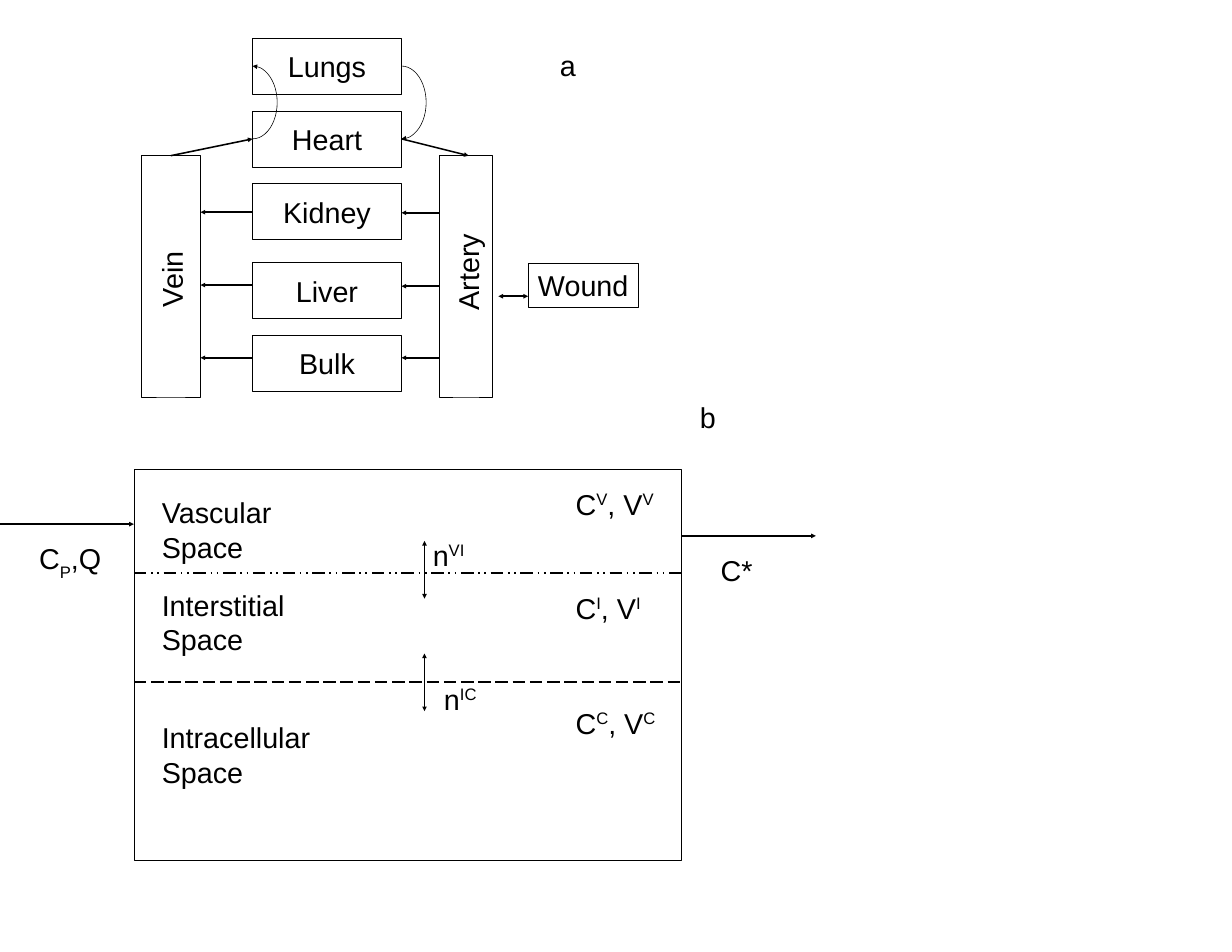
"""Draws a circulation model (a) and its three-compartment tissue model (b)."""
from lxml import etree
from pptx import Presentation
from pptx.dml.color import RGBColor
from pptx.enum.dml import MSO_LINE
from pptx.enum.shapes import MSO_CONNECTOR, MSO_SHAPE
from pptx.enum.text import MSO_ANCHOR, MSO_AUTO_SIZE, PP_ALIGN
from pptx.oxml.ns import qn
from pptx.util import Inches, Pt


def color(value):
    return RGBColor.from_string(value)


def style(shape, ends=()):
    """Gives a shape or connector a hairline with optional arrowheads."""
    shape.line.color.rgb = color("000000")
    shape.line.width = Pt(0)
    properties = shape._element.spPr
    if properties.find(qn("a:effectLst")) is None:
        etree.SubElement(properties, qn("a:effectLst"))
    for end in ends:
        etree.SubElement(shape.line._get_or_add_ln(), qn(f"a:{end}End"), type="triangle")


presentation = Presentation()
presentation.slide_width = Inches(22)
presentation.slide_height = Inches(17)
slide = presentation.slides.add_slide(presentation.slide_layouts[6])

organ_left, organ_right = 4.51, 7.17
vein_right, artery_left = 3.58, 7.84
lungs_middle, heart_middle, vessel_top = 1.18, 2.48, 2.78
tissue_left, tissue_right = 2.39, 12.17

organs = [("Lungs", 0.68), ("Heart", 1.98), ("Kidney", 3.28), ("Liver", 4.69), ("Bulk", 5.99)]
boxes = [(name, organ_left, top, 2.66, 1) for name, top in organs] + [
    ("", artery_left, vessel_top, 0.96, 4.31),
    ("", 2.52, vessel_top, 1.06, 4.31),
    ("Wound", 9.43, 4.7, 1.97, 0.79),
    ("", tissue_left, 8.38, 9.78, 6.99),
]
for name, *bounds in boxes:
    box = slide.shapes.add_shape(MSO_SHAPE.RECTANGLE, *map(Inches, bounds))
    box.fill.solid()
    box.fill.fore_color.rgb = color("FFFFFF")
    style(box)
    if name:
        box.text_frame.vertical_anchor = MSO_ANCHOR.MIDDLE
        paragraph = box.text_frame.paragraphs[0]
        paragraph.alignment = PP_ALIGN.CENTER
        run = paragraph.add_run()
        run.text = name
        run.font.size = Pt(36.9)
        run.font.name = "Arial"
        run.font.color.rgb = color("000000")

bulge = 0.44
for edge, end in [(organ_right, "tail"), (organ_left, "head")]:
    arc = slide.shapes.add_shape(
        MSO_SHAPE.ARC, Inches(edge - bulge), Inches(lungs_middle),
        Inches(2 * bulge), Inches(heart_middle - lungs_middle))
    arc.adjustments[0] = 162
    arc.adjustments[1] = 54
    arc.fill.background()
    style(arc, [end])

forward, both = ["tail"], ["head", "tail"]
arrows = [
    (3.05, vessel_top, organ_left, heart_middle, forward),
    (organ_right, heart_middle, 8.37, vessel_top, forward),
    (8.9, 5.29, 9.43, 5.29, both),
    (-0.2, 9.36, tissue_left, 9.36, forward),
    (tissue_right, 9.57, 14.57, 9.57, forward),
    (7.58, 9.66, 7.58, 10.69, both),
    (7.58, 11.67, 7.58, 12.7, both),
]
for artery_y, vein_y in [(3.8, 3.79), (5.11, 5.09), (6.39, 6.39)]:
    arrows.append((artery_left, artery_y, organ_right, artery_y, forward))
    arrows.append((organ_left, vein_y, vein_right, vein_y, forward))
for *points, ends in arrows:
    arrow = slide.shapes.add_connector(MSO_CONNECTOR.STRAIGHT, *map(Inches, points))
    style(arrow, ends)

for y, dash in [(10.23, MSO_LINE.DASH_DOT_DOT), (12.18, MSO_LINE.LONG_DASH)]:
    membrane = slide.shapes.add_connector(
        MSO_CONNECTOR.STRAIGHT, Inches(tissue_left), Inches(y), Inches(tissue_right), Inches(y))
    style(membrane)
    membrane.line.dash_style = dash

labels = [
    (2.79, 8.79, 3.19, 2.33, 0, [("Vascular Space", 0)]),
    (2.79, 10.44, 3.19, 2.89, 0, [("Interstitial Space", 0)]),
    (2.79, 12.81, 3.19, 2.89, 0, [("Intracellular Space", 0)]),
    (12.77, 9.82, 1, 1.21, 0, [("C*", 0)]),
    (7.63, 9.55, 1, 1.21, 0, [("n", 0), ("VI", 33000)]),
    (7.83, 12.12, 1, 1.77, 0, [("n", 0), ("IC", 33000)]),
    (0.6, 9.6, 1.8, 1.33, 0, [("C", 0), ("P", -33000), (",Q", 0)]),
    (2.41, 4.6, 1.28, 0.69, 270, [("Vein", 0)]),
    (7.12, 3.97, 2.55, 0.8, 270, [("Artery", 0)]),
    (9.9, 0.8, 1, 1.21, 0, [("a", 0)]),
    (12.4, 7.09, 1, 1.21, 0, [("b", 0)]),
]
for space, top, height in [("V", 8.64, 1.77), ("I", 10.5, 1.21), ("C", 12.55, 1.77)]:
    pieces = [("C", 0), (space, 33000), (", V", 0), (space, 33000)]
    labels.append((10.18, top, 1.8, height, 0, pieces))
for *bounds, rotation, pieces in labels:
    label = slide.shapes.add_textbox(*map(Inches, bounds))
    label.rotation = rotation
    label.text_frame.word_wrap = True
    label.text_frame.auto_size = MSO_AUTO_SIZE.SHAPE_TO_FIT_TEXT
    for text, baseline in pieces:
        run = label.text_frame.paragraphs[0].add_run()
        run.text = text
        run.font.size = Pt(36.9)
        run.font.name = "Arial"
        run.font.color.rgb = color("000000")
        if baseline:
            run.font._element.set("baseline", str(baseline))

presentation.save("out.pptx")
